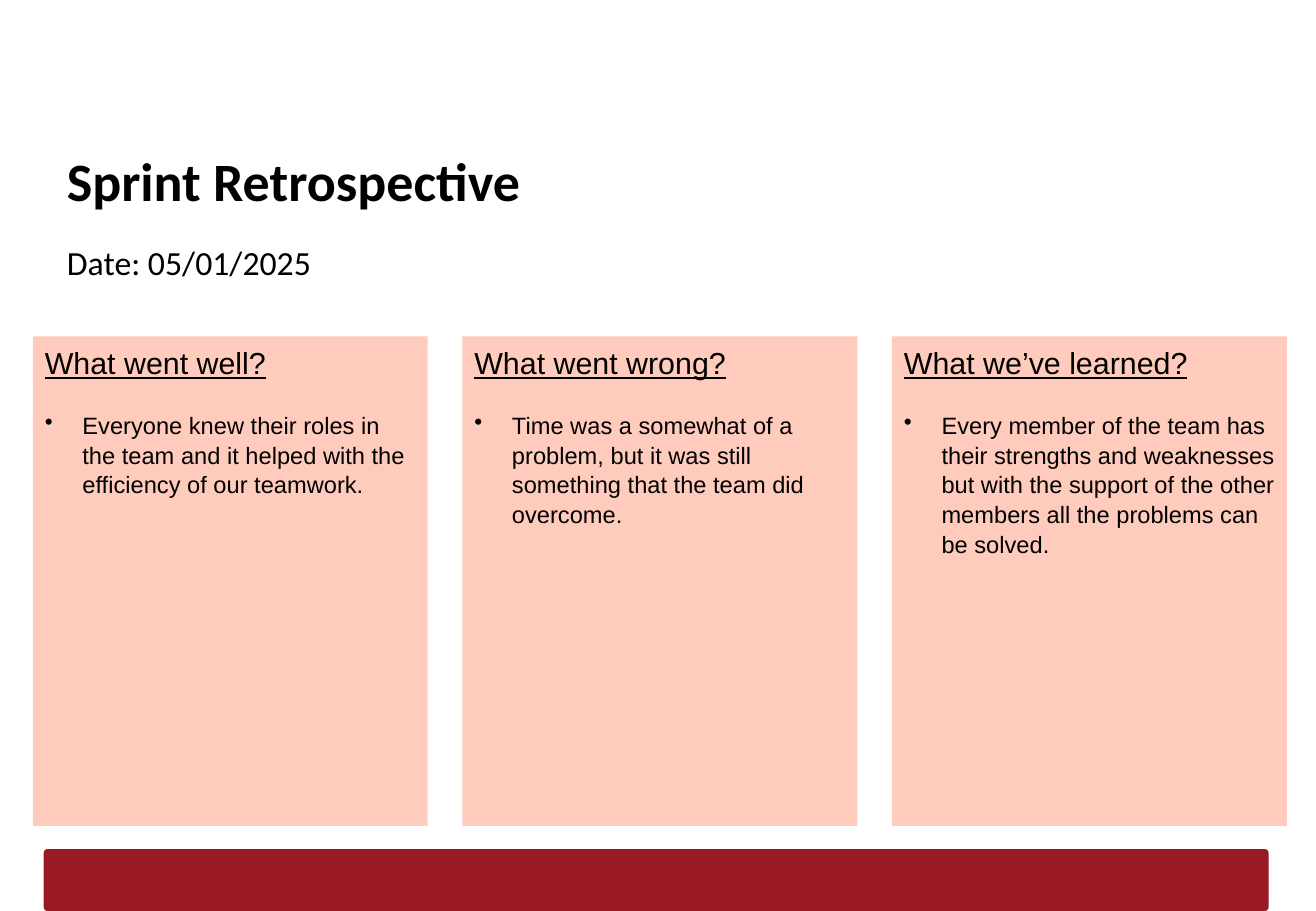
from dataclasses import dataclass

from lxml import etree
from pptx import Presentation
from pptx.dml.color import RGBColor
from pptx.enum import shapes, text
from pptx.oxml import ns
from pptx.util import Inches, Pt


@dataclass(frozen=True)
class Theme:
    ink: str = "000000"
    panel: str = "FFCBBD"
    bar: str = "9A1A24"
    display_font: str = "Calibri"
    panel_font: str = "Arial"
    title_size: int = 32
    date_size: int = 20
    heading_size: int = 18
    bullet_size: int = 14
    line_spacing: float = 1.05


def set_bullet(paragraph, char=None, indent=0):
    """Hang the paragraph on a bullet, or clear an inherited one."""
    properties = paragraph._p.get_or_add_pPr()
    properties.set("marL", str(Inches(indent)))
    properties.set("indent", str(-Inches(indent)))
    bullet = etree.SubElement(properties, ns.qn("a:buChar" if char else "a:buNone"))
    if char:
        bullet.set("char", char)


class RetrospectiveSlide:
    def __init__(self, slide, theme):
        self.slide = slide
        self.theme = theme

    def add_text(self, paragraph, words, *, size, font, bold=False, underline=False,
                 before=0, after=0, bullet=None, indent=0):
        set_bullet(paragraph, bullet, indent)
        paragraph.alignment = text.PP_ALIGN.LEFT
        paragraph.line_spacing = self.theme.line_spacing
        paragraph.space_before, paragraph.space_after = Pt(before), Pt(after)
        run = paragraph.add_run()
        run.text = words
        run.font.name, run.font.size = font, Pt(size)
        run.font.bold, run.font.underline = bold, underline
        run.font.color.rgb = RGBColor.from_string(self.theme.ink)

    def frame(self, shape, margin_x, margin_y):
        """Return the shape's text frame, top-anchored and wrapping."""
        frame = shape.text_frame
        frame.word_wrap = True
        frame.auto_size = text.MSO_AUTO_SIZE.NONE
        frame.vertical_anchor = text.MSO_ANCHOR.TOP
        frame.margin_left = frame.margin_right = Inches(margin_x)
        frame.margin_top = frame.margin_bottom = Inches(margin_y)
        return frame

    def placeholder(self, index, box, words, **style):
        holder = self.slide.placeholders[index]
        holder.left, holder.top, holder.width, holder.height = map(Inches, box)
        first = self.frame(holder, 0.1, 0.1).paragraphs[0]
        self.add_text(first, words, font=self.theme.display_font, **style)

    def block(self, kind, box, color):
        shape = self.slide.shapes.add_shape(kind, *map(Inches, box))
        shape.shadow.inherit = False
        shape.fill.solid()
        shape.fill.fore_color.rgb = RGBColor.from_string(color)
        shape.line.fill.background()
        return shape

    def bar(self, box):
        bar = self.block(shapes.MSO_SHAPE.ROUNDED_RECTANGLE, box, self.theme.bar)
        bar.adjustments[0] = 0.06

    def panel(self, box, heading, answer):
        panel = self.block(shapes.MSO_SHAPE.RECTANGLE, box, self.theme.panel)
        frame = self.frame(panel, 0.1, 0.05)
        font = self.theme.panel_font
        self.add_text(frame.paragraphs[0], heading, font=font,
                      size=self.theme.heading_size, underline=True)
        self.add_text(frame.add_paragraph(), answer, font=font,
                      size=self.theme.bullet_size, before=17, bullet="•", indent=0.31)


QUESTIONS = [
    ("What went well?",
     "Everyone knew their roles in the team and it helped with the efficiency "
     "of our teamwork."),
    ("What went wrong?",
     "Time was a somewhat of a problem, but it was still something that the "
     "team did overcome."),
    ("What we’ve learned?",
     "Every member of the team has their strengths and weaknesses but with the "
     "support of the other members all the problems can be solved."),
]


def main():
    deck = Presentation()
    deck.slide_width, deck.slide_height = Inches(10.83), Inches(7.5)
    theme = Theme()
    page = RetrospectiveSlide(deck.slides.add_slide(deck.slide_layouts[1]), theme)

    page.bar((0.36, 6.99, 10.08, 0.51))
    page.placeholder(0, (0.45, 1.09, 9.89, 0.63), "Sprint Retrospective",
                     size=theme.title_size, bold=True)
    page.placeholder(1, (0.45, 1.87, 9.89, 5.02), "Date: 05/01/2025",
                     size=theme.date_size, after=4)

    left, right, width = 0.27, 10.59, 3.25
    pitch = (right - left - width) / (len(QUESTIONS) - 1)
    for column, (heading, answer) in enumerate(QUESTIONS):
        page.panel((left + column * pitch, 2.77, width, 4.03), heading, answer)

    deck.save("out.pptx")


if __name__ == "__main__":
    main()
